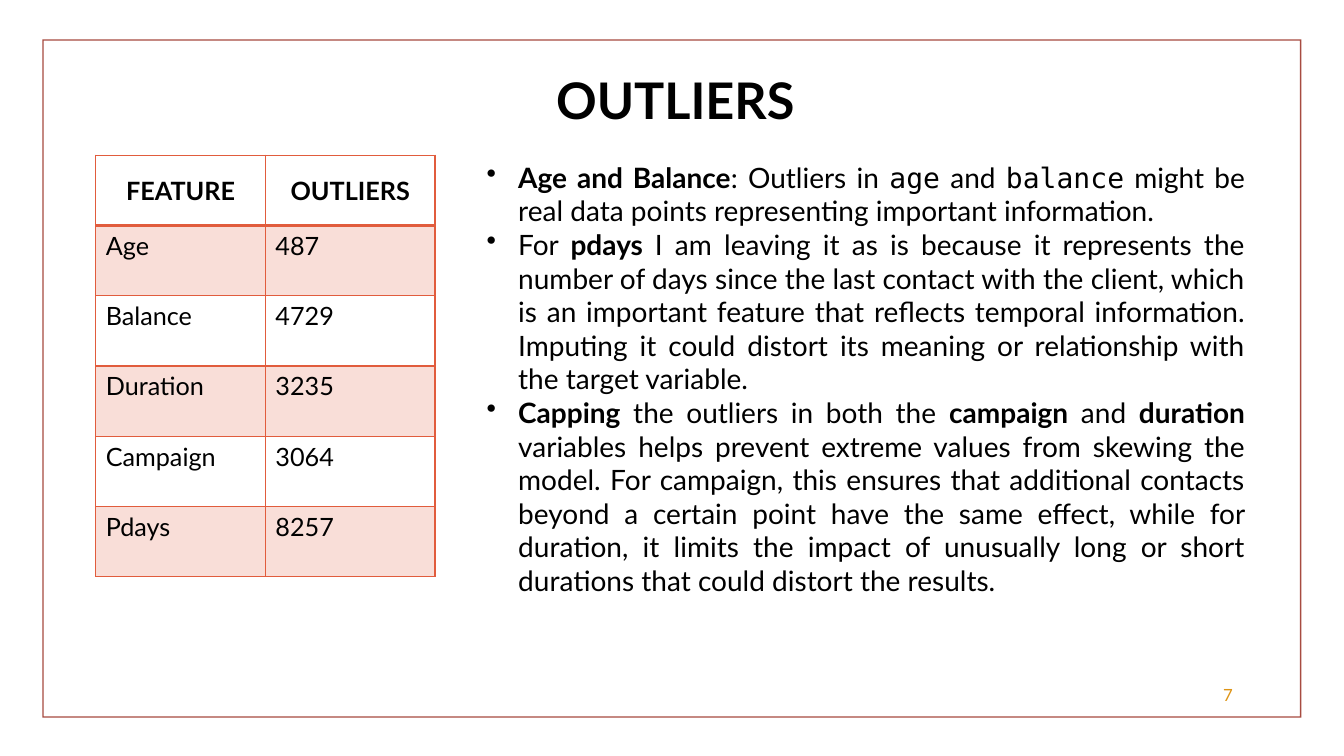
from typing import NamedTuple

from lxml import etree
from pptx import Presentation
from pptx.dml.color import RGBColor
from pptx.enum import shapes, text
from pptx.oxml import ns
from pptx.util import Pt

BLACK = RGBColor(0x00, 0x00, 0x00)
BRICK = RGBColor(0xA7, 0x4B, 0x40)
CORAL = RGBColor(0xE1, 0x5C, 0x3D)
GOLD = RGBColor(0xDE, 0x94, 0x15)
SANS, MONO = "Lato", "DejaVu Sans Mono"


class Box(NamedTuple):
    left: float
    top: float
    width: float
    height: float

    def pts(self) -> list:
        return [Pt(v) for v in self]


class Span(NamedTuple):
    words: str
    bold: bool = False
    face: str = SANS


class Row(NamedTuple):
    name: str
    count: str


ROWS = [
    Row("FEATURE", "OUTLIERS"),
    Row("Age", "487"),
    Row("Balance", "4729"),
    Row("Duration", "3235"),
    Row("Campaign", "3064"),
    Row("Pdays", "8257"),
]
NOTES = [
    [
        Span("Age and Balance", True),
        Span(": Outliers in "),
        Span("age", face=MONO),
        Span(" and "),
        Span("balance", face=MONO),
        Span(" might be real data points representing important information. "),
    ],
    [
        Span("For "),
        Span("pdays ", True),
        Span("I am leaving it as is because it represents the number of days "
             "since the last contact with the client, which is an important "
             "feature that reflects temporal information. Imputing it could "
             "distort its meaning or relationship with the target variable."),
    ],
    [
        Span("Capping", True),
        Span(" the outliers in both the "),
        Span("campaign", True),
        Span(" and "),
        Span("duration", True),
        Span(" variables helps prevent extreme values from skewing the model. "
             "For campaign, this ensures that additional contacts beyond a "
             "certain point have the same effect, while for duration, it limits "
             "the impact of unusually long or short durations that could "
             "distort the results."),
    ],
]


def style(para, size: float, color: RGBColor, align, bold: bool = False) -> None:
    para.alignment = align
    font = para.font
    font.name, font.size, font.bold = SANS, Pt(size), bold
    font.color.rgb = color


def sub(node, tag: str, **attrs: str):
    return etree.SubElement(node, ns.qn(tag), **attrs)


def edge(cell, head: bool, under: bool) -> None:
    """Draw the four borders; the rule below the header is thicker."""
    props = cell._tc.get_or_add_tcPr()
    for side in "LRTB":
        thick = (head and side == "B") or (under and side == "T")
        line = sub(props, f"a:ln{side}", w=str(Pt(2 if thick else 1)))
        sub(sub(line, "a:solidFill"), "a:srgbClr", val=str(CORAL))


def tint(cell, alpha: int) -> None:
    cell.fill.solid()
    cell.fill.fore_color.rgb = CORAL
    color = cell._tc.tcPr.find(f"{ns.qn('a:solidFill')}/{ns.qn('a:srgbClr')}")
    sub(color, "a:alpha", val=str(alpha * 1000))


def add_grid(slide, box: Box, rows: list[Row]) -> None:
    grid = slide.shapes.add_table(len(rows), 2, *box.pts()).table
    grid.horz_banding = False
    for line in grid.rows:
        line.height = Pt(box.height / len(rows))
    for r, row in enumerate(rows):
        head = r == 0
        for c, words in enumerate(row):
            cell = grid.cell(r, c)
            edge(cell, head, r == 1)
            if r % 2:
                tint(cell, 20)
            else:
                cell.fill.background()
            cell.text = words
            cell.vertical_anchor = (
                text.MSO_ANCHOR.MIDDLE if head else text.MSO_ANCHOR.TOP)
            align = text.PP_ALIGN.CENTER if head else text.PP_ALIGN.LEFT
            style(cell.text_frame.paragraphs[0], 18, BLACK, align, head)


def add_text(slide, box: Box):
    frame = slide.shapes.add_textbox(*box.pts()).text_frame
    frame.word_wrap = True
    return frame


def add_notes(slide, box: Box, notes: list[list[Span]]) -> None:
    frame = add_text(slide, box)
    for i, spans in enumerate(notes):
        para = frame.add_paragraph() if i else frame.paragraphs[0]
        style(para, 20, BLACK, text.PP_ALIGN.JUSTIFY)
        props = para._p.get_or_add_pPr()
        props.set("marL", str(Pt(22.5)))
        props.set("indent", str(Pt(-22.5)))
        mark = etree.Element(ns.qn("a:buChar"), char="•")
        props.find(ns.qn("a:defRPr")).addprevious(mark)
        for span in spans:
            run = para.add_run()
            run.text = span.words
            run.font.name, run.font.bold = span.face, span.bold
            run.font.size = Pt(20)


def main() -> None:
    deck = Presentation()
    deck.slide_width, deck.slide_height = Pt(960), Pt(540)
    slide = deck.slides.add_slide(deck.slide_layouts[5])

    # Border
    frame = slide.shapes.add_shape(
        shapes.MSO_SHAPE.FRAME, *Box(30.24, 28.08, 899.28, 484.56).pts())
    frame.adjustments[0] = 0.002
    frame.fill.solid()
    frame.fill.fore_color.rgb = BRICK
    frame.line.fill.background()
    frame.shadow.inherit = False

    # Title
    title = slide.shapes.title
    title.left, title.top, title.width, title.height = Box(
        68.4, 49.68, 828, 47.52).pts()
    title.text_frame.text = "OUTLIERS"
    title.text_frame.vertical_anchor = text.MSO_ANCHOR.MIDDLE
    para = title.text_frame.paragraphs[0]
    para.line_spacing = 0.9
    style(para, 36, BLACK, text.PP_ALIGN.CENTER, True)

    # Table and remarks
    add_grid(slide, Box(68.4, 110.88, 242.4, 301.2), ROWS)
    add_notes(slide, Box(340.56, 110.88, 555.84, 416.88), NOTES)

    # Page number
    page = add_text(slide, Box(671.76, 481.68, 216, 28.8))
    page.text = "7"
    page.vertical_anchor = text.MSO_ANCHOR.MIDDLE
    style(page.paragraphs[0], 12, GOLD, text.PP_ALIGN.RIGHT)

    deck.save("out.pptx")


if __name__ == "__main__":
    main()
